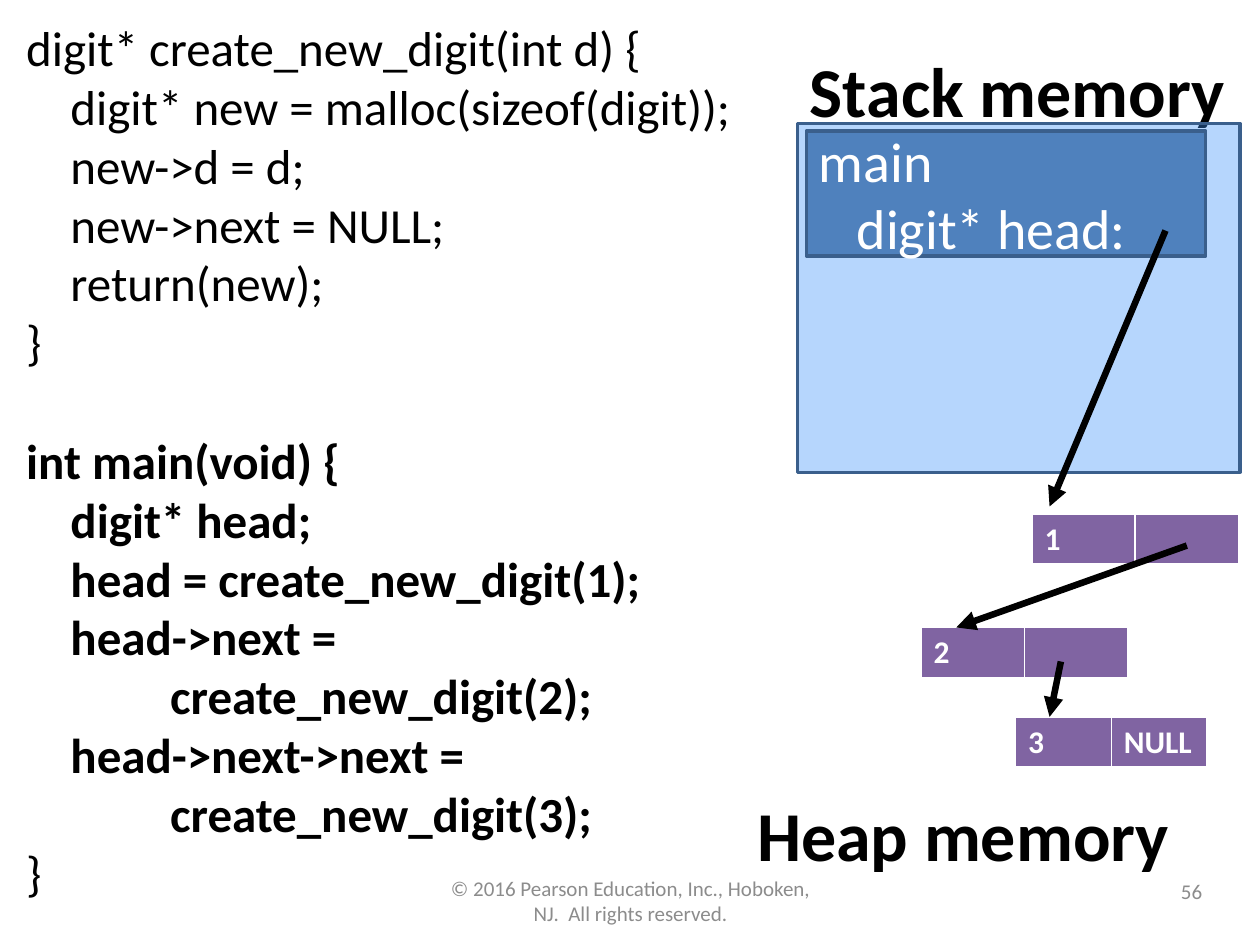
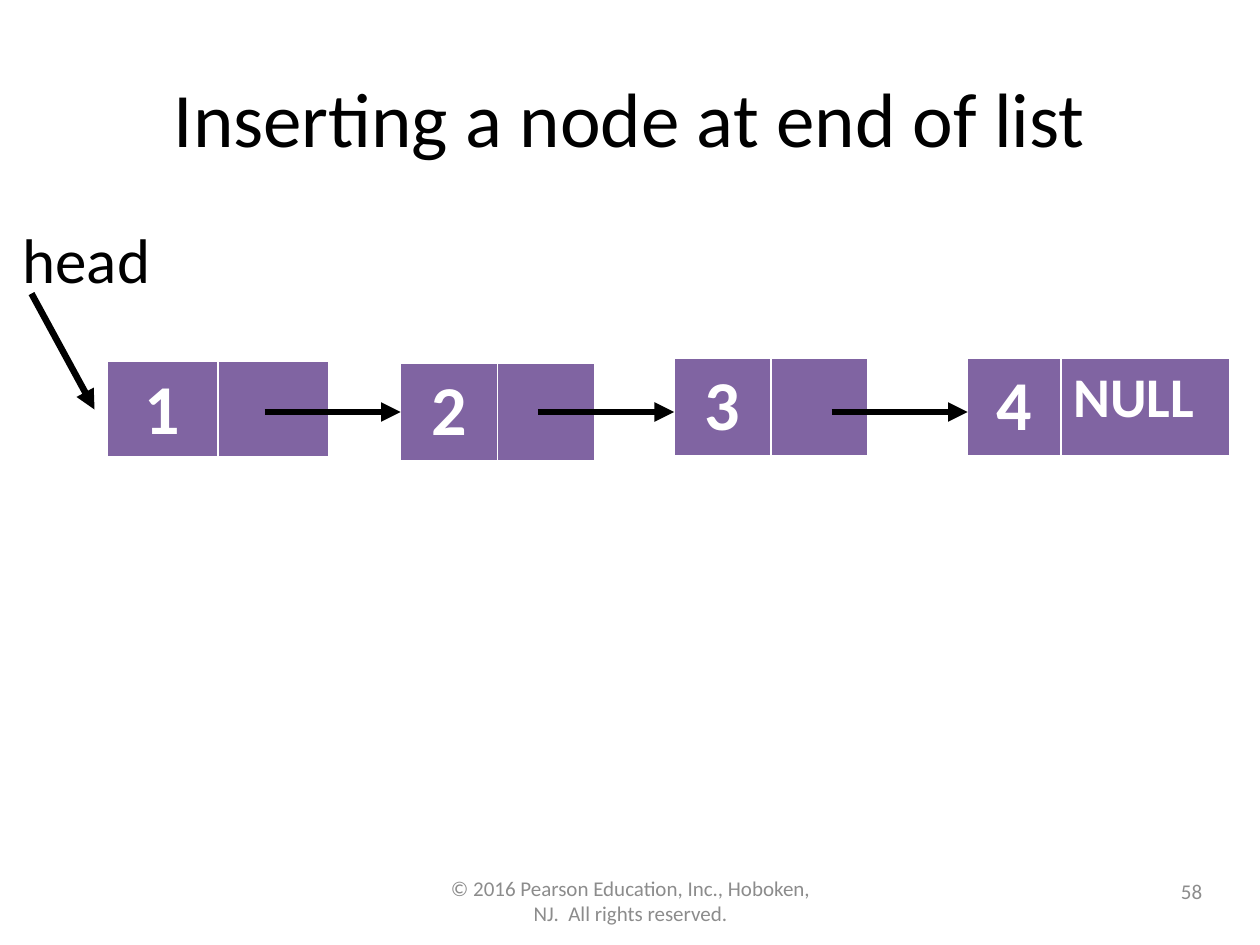
import pptx
import pptx.util
import pptx.dml.color
import pptx.enum.shapes
import pptx.enum.text
import pptx.oxml
import pptx.oxml.ns
from lxml import etree

Inches, Pt = pptx.util.Inches, pptx.util.Pt
RGBColor = pptx.dml.color.RGBColor
ALIGN = pptx.enum.text.PP_ALIGN
ANCHOR = pptx.enum.text.MSO_ANCHOR
qn = pptx.oxml.ns.qn

BLACK = RGBColor(0x00, 0x00, 0x00)
WHITE = RGBColor(0xFF, 0xFF, 0xFF)
GREY = RGBColor(0x8C, 0x8C, 0x8C)
STACK_BLUE = RGBColor(0x3A, 0x92, 0xFC)
FRAME_BLUE = RGBColor(0x4F, 0x81, 0xBD)
OUTLINE_BLUE = RGBColor(0x3A, 0x5F, 0x8C)
NODE_PURPLE = RGBColor(0x80, 0x64, 0xA2)

FONT = "Calibri"
FOOTER = "© 2016 Pearson Education, Inc., Hoboken, NJ.  All rights reserved."
CODE_SIZE = 28
CODE_LINE = 34.2  # height of one line of code, in points

NEW_DIGIT_CODE = [
    "digit* create_new_digit(int d) {",
    "    digit* new = malloc(sizeof(digit));",
    "    new->d = d;",
    "    new->next = NULL;",
    "    return(new);",
    "}",
]
MAIN_CODE = [
    "int main(void) {",
    "    digit* head;",
    "    head = create_new_digit(1);",
    "    head->next =",
    "             create_new_digit(2);",
    "    head->next->next =",
    "             create_new_digit(3);",
]


def write(p, text, size, color=BLACK, bold=False, align=ALIGN.LEFT):
    p.alignment = align
    r = p.add_run()
    r.text = text
    r.font.name = FONT
    r.font.size = Pt(size)
    r.font.bold = bold
    r.font.color.rgb = color


def write_lines(tf, lines, size, color=BLACK, bold=False, first=True):
    """Write one paragraph a line; return the first paragraph written."""
    paragraphs = []
    for i, line in enumerate(lines):
        p = tf.paragraphs[0] if first and i == 0 else tf.add_paragraph()
        write(p, line, size, color, bold)
        paragraphs.append(p)
    return paragraphs[0]


def add_box(slide, x, y, w, h, wrap=True, anchor=ANCHOR.TOP):
    sp = slide.shapes.add_textbox(Inches(x), Inches(y), Inches(w), Inches(h))
    tf = sp.text_frame
    tf.word_wrap = wrap
    tf.vertical_anchor = anchor
    return tf


def add_label(slide, x, y, w, h, text, size, bold=False):
    tf = add_box(slide, x, y, w, h, wrap=False)
    write(tf.paragraphs[0], text, size, bold=bold)


def add_footer(slide, number):
    tf = add_box(slide, 3.42, 6.95, 3.17, 0.4, anchor=ANCHOR.MIDDLE)
    write(tf.paragraphs[0], FOOTER, 12, GREY, align=ALIGN.CENTER)
    tf = add_box(slide, 7.31, 6.87, 2.33, 0.4, anchor=ANCHOR.MIDDLE)
    write(tf.paragraphs[0], str(number), 12, GREY, align=ALIGN.RIGHT)


def add_title(slide, text):
    tf = add_box(slide, 0.5, 0.3, 9, 1.25, anchor=ANCHOR.MIDDLE)
    write(tf.paragraphs[0], text, 44, align=ALIGN.CENTER)


def add_rect(slide, x, y, w, h, color):
    sp = slide.shapes.add_shape(pptx.enum.shapes.MSO_SHAPE.RECTANGLE,
                                Inches(x), Inches(y), Inches(w), Inches(h))
    sp.shadow.inherit = False
    sp.fill.solid()
    sp.fill.fore_color.rgb = color
    sp.line.color.rgb = OUTLINE_BLUE
    sp.line.width = Pt(2)
    return sp


def set_alpha(sp, percent):
    color = sp._element.spPr.find(qn("a:solidFill"))[0]
    etree.SubElement(color, qn("a:alpha")).set("val", str(percent * 1000))


def add_arrow(slide, start, end):
    x1, y1, x2, y2 = (Inches(v) for v in (*start, *end))
    cn = slide.shapes.add_connector(pptx.enum.shapes.MSO_CONNECTOR.STRAIGHT,
                                    x1, y1, x2, y2)
    cn.line.color.rgb = BLACK
    cn.line.width = Pt(3.75)
    etree.SubElement(cn.line._get_or_add_ln(), qn("a:tailEnd")).set("type", "triangle")
    etree.SubElement(cn._element.spPr, qn("a:effectLst"))


def set_borders(cell):
    tcPr = cell._tc.get_or_add_tcPr()
    for i, (side, width) in enumerate((("L", 1), ("R", 1), ("T", 1), ("B", 3))):
        ln = etree.Element(qn("a:ln" + side), w=str(Pt(width)))
        fill = etree.SubElement(ln, qn("a:solidFill"))
        etree.SubElement(fill, qn("a:srgbClr")).set("val", str(WHITE))
        tcPr.insert(i, ln)


def add_node(slide, x, y, widths, h, value, link="", sizes=(18, 18), align=ALIGN.LEFT):
    """Draw a list node: a value cell and a link cell."""
    table = slide.shapes.add_table(1, 2, Inches(x), Inches(y),
                                   Inches(sum(widths)), Inches(h)).table
    table.first_row = table.horz_banding = False
    table.rows[0].height = Inches(h)
    for i, (text, size, side) in enumerate(zip((value, link), sizes, (align, ALIGN.LEFT))):
        table.columns[i].width = Inches(widths[i])
        cell = table.cell(0, i)
        cell.fill.solid()
        cell.fill.fore_color.rgb = NODE_PURPLE
        set_borders(cell)
        if text:
            write(cell.text_frame.paragraphs[0], text, size, WHITE, True, side)


def add_code(slide, x, y, w, h):
    tf = add_box(slide, x, y, w, h)
    write_lines(tf, NEW_DIGIT_CODE, CODE_SIZE)
    main_start = write_lines(tf, MAIN_CODE, CODE_SIZE, bold=True, first=False)
    main_start.space_before = Pt(CODE_LINE)
    write_lines(tf, ["}"], CODE_SIZE, first=False)


def add_stack(slide, x, y, w, h):
    add_label(slide, x, y - 0.65, 3.53, 0.77, "Stack memory", 40, bold=True)
    set_alpha(add_rect(slide, x, y, w, h, STACK_BLUE), 37)
    frame = add_rect(slide, x + 0.07, y + 0.06, w - 0.34, 0.99, FRAME_BLUE)
    tf = frame.text_frame
    tf.word_wrap = True
    tf.vertical_anchor = ANCHOR.MIDDLE
    write_lines(tf, ["main", "   digit* head:"], 32, WHITE)


def add_heap(slide, x, y):
    """Draw the three linked nodes, with the heap label at x and y."""
    add_label(slide, x, y, 3.51, 0.77, "Heap memory", 40, bold=True)
    nodes = [(2.28, -2.15, 0.82, "1", ""),
             (1.4, -1.25, 0.82, "2", ""),
             (2.15, -0.54, 0.76, "3", "NULL")]
    arrows = [((3.34, -4.4), (2.42, -2.21)),
              ((3.51, -1.9), (1.68, -1.25)),
              ((2.51, -0.98), (2.42, -0.54))]
    for (dx, dy, cell_w, value, link), (start, end) in zip(nodes, arrows):
        add_node(slide, x + dx, y + dy, (cell_w, cell_w), 0.41, value, link)
        add_arrow(slide, (x + start[0], y + start[1]), (x + end[0], y + end[1]))


def add_list(slide, x, y):
    """Draw the linked list, with the head label at x and y."""
    add_label(slide, x, y, 1.22, 0.71, "head", 36)
    nodes = [(0.77, 1.17, (0.88, 0.88), 0.77, ""),
             (3.1, 1.18, (0.77, 0.77), 0.79, ""),
             (5.27, 1.14, (0.77, 0.77), 0.79, ""),
             (7.6, 1.14, (0.74, 1.34), 0.79, "NULL")]
    for i, (dx, dy, widths, h, link) in enumerate(nodes, 1):
        add_node(slide, x + dx, y + dy, widths, h, str(i), link, (40, 32), ALIGN.CENTER)
    add_arrow(slide, (x + 0.17, y + 0.63), (x + 0.67, y + 1.55))
    for dx, *_ in nodes[1:]:
        add_arrow(slide, (x + dx - 1.08, y + 1.57), (x + dx, y + 1.57))


def build_memory_slide(slide):
    add_footer(slide, 56)
    add_code(slide, 0.11, 0.09, 5.95, 7.16)
    add_stack(slide, 6.33, 0.98, 3.51, 2.77)
    add_heap(slide, 5.91, 6.23)


def build_insert_slide(slide):
    add_title(slide, "Inserting a node at end of list")
    add_footer(slide, 58)
    add_list(slide, 0.08, 1.7)


def main():
    prs = pptx.Presentation()
    prs.slide_width, prs.slide_height = Inches(10), Inches(7.5)
    for build in (build_memory_slide, build_insert_slide):
        build(prs.slides.add_slide(prs.slide_layouts[6]))
    prs.save("out.pptx")


if __name__ == "__main__":
    main()
